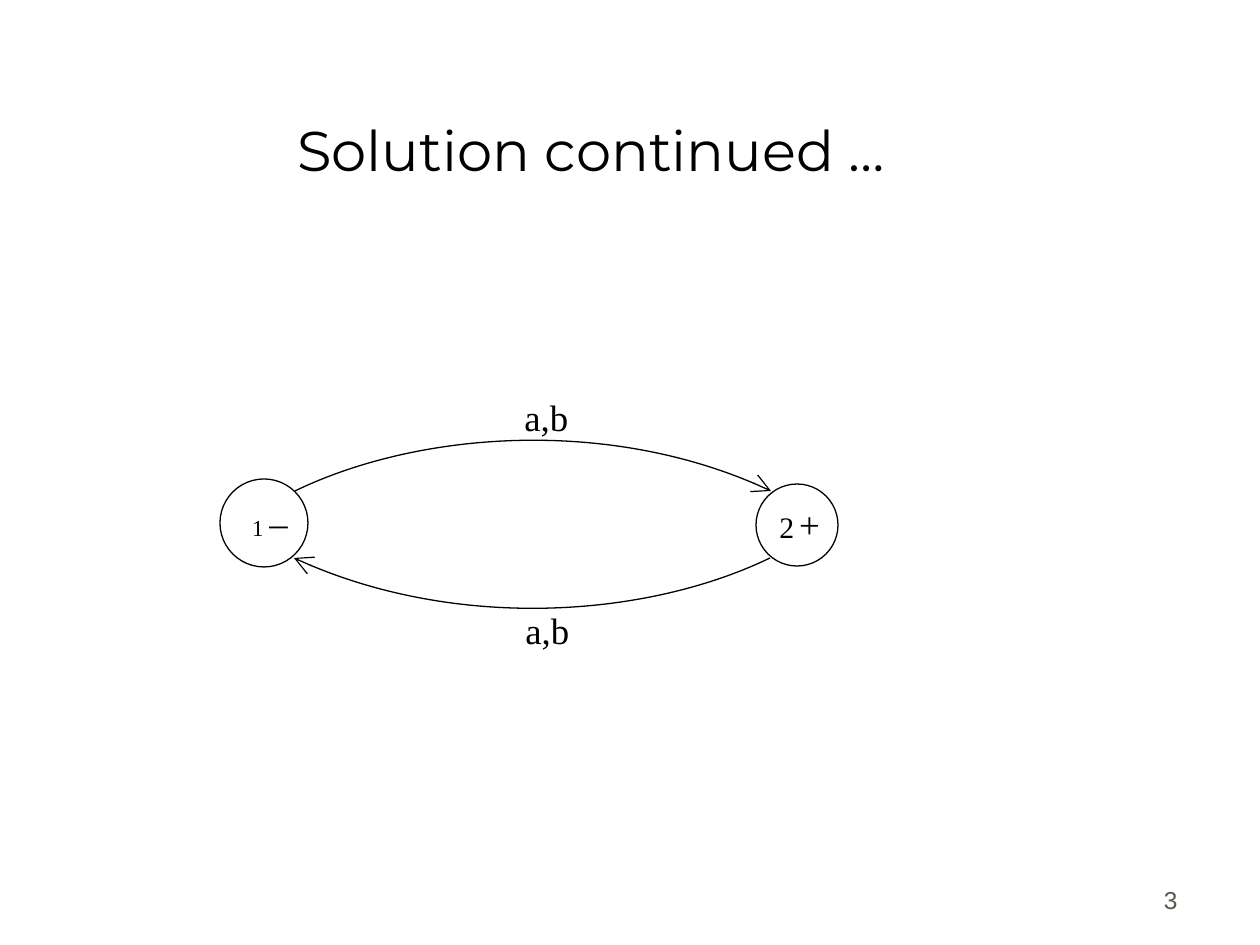
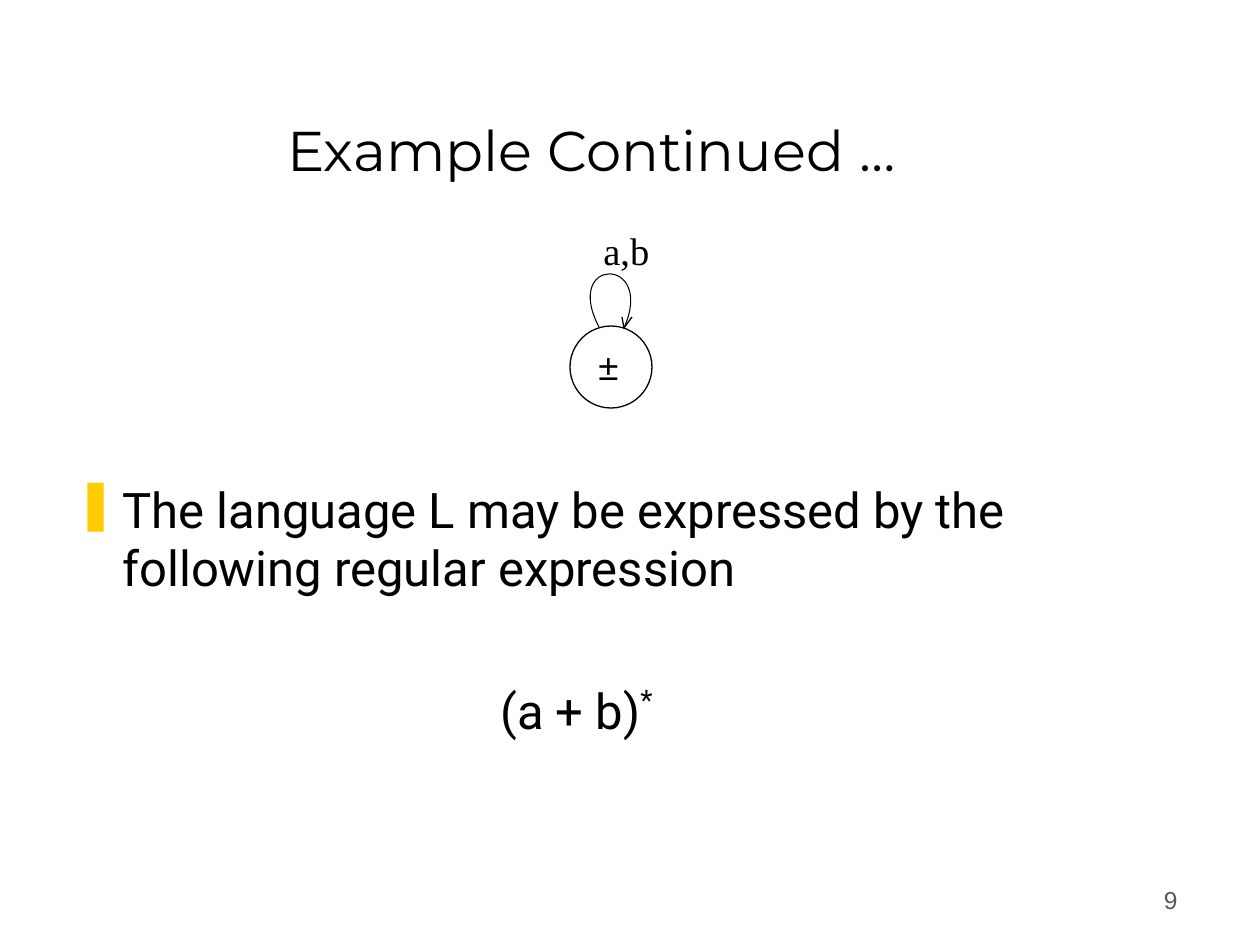
import pptx
import pptx.dml.color
import pptx.enum.shapes
import pptx.enum.text
import pptx.oxml
import pptx.oxml.ns
import pptx.util

ALIGN = pptx.enum.text.PP_ALIGN
ANCHOR = pptx.enum.text.MSO_ANCHOR
BLACK = pptx.dml.color.RGBColor(0x00, 0x00, 0x00)
WHITE = pptx.dml.color.RGBColor(0xFF, 0xFF, 0xFF)
GREY = pptx.dml.color.RGBColor(0x5E, 0x57, 0x4E)
YELLOW = pptx.dml.color.RGBColor(0xFF, 0xCC, 0x00)
TITLE_FONT, BODY_FONT, DIAGRAM_FONT, PLAIN_FONT = (
    "Montserrat", "Roboto", "Times New Roman", "Arial")

PX = 914400 / 126
SLIDE_SIZE = (1260, 945)
TITLE_BOX = (56, 32, 1071, 157)
NUMBER_BOX = (928, 858, 262, 63)
BODY_BOX = (63, 473, 1126, 300)
BULLET_INDENT = 47
FORMULA_INDENT = 425
LABEL_SIZE = (84, 58)

# States: circle (left, top, diameter), runs (text, size), font, side insets.
# Curves: four Bezier points, line width, whether an arrowhead ends it.
# Strokes: the two points of each side of a hand-drawn arrowhead.
# Labels: text, (left, top), size.
SLIDES = [
    {
        "title": "Solution continued …",
        "number": "3",
        "states": [
            ((756, 484, 82), [("2", 17), (" ", 11), ("+", 21)], DIAGRAM_FONT, (5, 0)),
            ((220, 479, 88), [("1 ", 13), ("–", 21)], DIAGRAM_FONT, (12, 0)),
        ],
        "curves": [
            ([(295, 491), (417, 432), (615, 417), (771, 491)], 0.75, True),
            ([(770, 558), (648, 617), (451, 631), (294, 558)], 0.75, True),
        ],
        "strokes": [],
        "labels": [("a,b", (512, 389), 21), ("a,b", (513, 602), 21)],
    },
    {
        "title": "Example Continued …",
        "number": "9",
        "states": [((570, 326, 82), [("±", 21)], PLAIN_FONT, (0, 5))],
        "curves": [([(599, 327), (562, 256), (656, 256), (624, 328)], 0.6, False)],
        "strokes": [[(624, 328), (632, 317)], [(622, 317), (624, 328)]],
        "labels": [("a,b", (591, 221), 22)],
        "statement": "The language L may be expressed by the following regular expression",
        "formula": ("(a + b)", "*"),
    },
]


def px(length):
    return pptx.util.Emu(round(length * PX))


def drawing_element(xml):
    """Parse one tag of the drawing namespace, given without its prefix."""
    name, _, attributes = xml.partition(" ")
    return pptx.oxml.parse_xml(
        f'<a:{name} {pptx.oxml.ns.nsdecls("a")} {attributes}/>')


def set_font(font, name, size, color=BLACK):
    font.name = name
    font.size = pptx.util.Pt(size)
    font.color.rgb = color


def add_text(slide, box, text, name, size, color=BLACK, align=ALIGN.LEFT,
             anchor=ANCHOR.TOP):
    frame = slide.shapes.add_textbox(*map(px, box)).text_frame
    frame.word_wrap = True
    frame.vertical_anchor = anchor
    paragraph = frame.paragraphs[0]
    paragraph.text = text
    paragraph.alignment = align
    set_font(paragraph.font, name, size, color)
    return frame


def outline(shape, width):
    shape.shadow.inherit = False
    shape.line.color.rgb = BLACK
    shape.line.width = pptx.util.Pt(width)


def add_state(slide, circle, runs, name, insets):
    left, top, diameter = circle
    state = slide.shapes.add_shape(
        pptx.enum.shapes.MSO_SHAPE.OVAL, *map(px, (left, top, diameter, diameter)))
    state.fill.solid()
    state.fill.fore_color.rgb = WHITE
    outline(state, 0.75)
    frame = state.text_frame
    frame.word_wrap = False
    frame.vertical_anchor = ANCHOR.MIDDLE
    frame.margin_left, frame.margin_right = map(px, insets)
    frame.margin_top, frame.margin_bottom = 0, px(3)
    paragraph = frame.paragraphs[0]
    paragraph.alignment = ALIGN.CENTER
    for text, size in runs:
        run = paragraph.add_run()
        run.text = text
        set_font(run.font, name, size)


def add_polyline(slide, points, width=0.75):
    builder = slide.shapes.build_freeform(*points[0], scale=PX)
    builder.add_line_segments(points[1:], close=False)
    line = builder.convert_to_shape()
    line.fill.background()
    outline(line, width)
    return line


def add_curve(slide, points, width, has_head):
    """Bend a polyline of four points into one Bezier segment."""
    edge = add_polyline(slide, points, width)
    segments = edge._element.xpath(".//a:lnTo")
    curve = drawing_element("cubicBezTo")
    segments[0].addprevious(curve)
    for segment in segments:
        curve.append(segment[0])
        segment.getparent().remove(segment)
    if has_head:
        edge.line._get_or_add_ln().append(
            drawing_element('tailEnd type="arrow" w="lg" len="lg"'))


def add_body(slide, statement, formula):
    frame = add_text(slide, BODY_BOX, statement, BODY_FONT, 28)
    properties = frame.paragraphs[0]._p.get_or_add_pPr()
    properties.set("marL", str(px(BULLET_INDENT)))
    properties.set("indent", str(-px(BULLET_INDENT)))
    bullet_color = drawing_element("buClr")
    bullet_color.append(drawing_element(f'srgbClr val="{YELLOW}"'))
    properties.insert(0, bullet_color)
    properties.insert(1, drawing_element('buChar char="❚"'))

    paragraph = frame.add_paragraph()
    paragraph.space_before = pptx.util.Pt(48)
    paragraph._p.get_or_add_pPr().set("marL", str(px(FORMULA_INDENT)))
    set_font(paragraph.font, BODY_FONT, 28)
    base, exponent = formula
    paragraph.add_run().text = base
    superscript = paragraph.add_run()
    superscript.text = exponent
    superscript.font._element.set("baseline", "40000")


def add_slide(presentation, content):
    slide = presentation.slides.add_slide(presentation.slide_layouts[6])
    add_text(slide, NUMBER_BOX, content["number"], PLAIN_FONT, 14, GREY,
             ALIGN.RIGHT, ANCHOR.BOTTOM)
    add_text(slide, TITLE_BOX, content["title"], TITLE_FONT, 32,
             align=ALIGN.CENTER, anchor=ANCHOR.BOTTOM)
    if "statement" in content:
        add_body(slide, content["statement"], content["formula"])
    for state in content["states"]:
        add_state(slide, *state)
    for curve in content["curves"]:
        add_curve(slide, *curve)
    for stroke in content["strokes"]:
        add_polyline(slide, stroke)
    for text, corner, size in content["labels"]:
        add_text(slide, corner + LABEL_SIZE, text, DIAGRAM_FONT, size)


def main():
    presentation = pptx.Presentation()
    presentation.slide_width, presentation.slide_height = map(px, SLIDE_SIZE)
    for content in SLIDES:
        add_slide(presentation, content)
    presentation.save("out.pptx")


if __name__ == "__main__":
    main()
